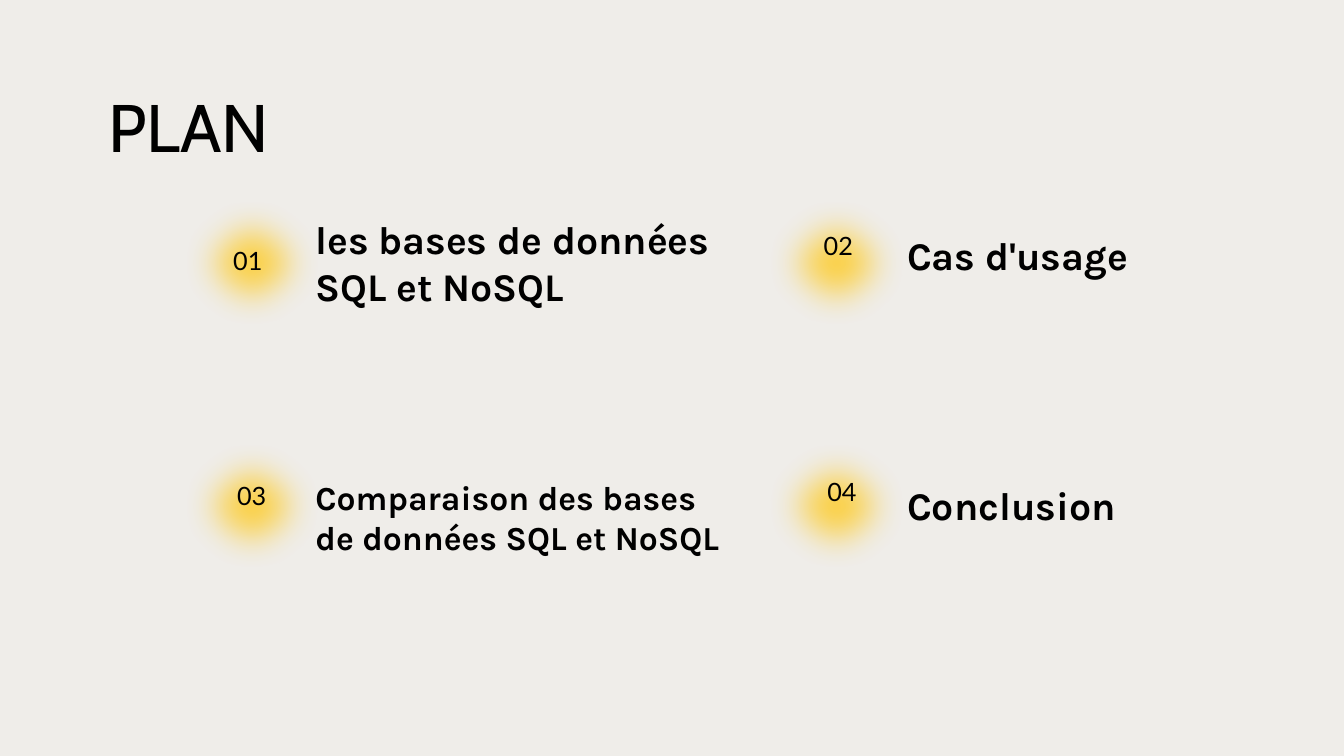
from lxml.etree import SubElement
from pptx import Presentation
from pptx.dml.color import RGBColor
from pptx.enum.shapes import MSO_SHAPE as Shape
from pptx.enum.text import MSO_ANCHOR as Anchor, MSO_AUTO_SIZE as AutoSize, PP_ALIGN as Align
from pptx.oxml.ns import qn
from pptx.util import Pt

BACKGROUND = RGBColor(0xEF, 0xED, 0xE9)
YELLOW = RGBColor(0xFF, 0xCA, 0x21)
NAVY = RGBColor(0x09, 0x2A, 0x39)
BLACK = RGBColor(0, 0, 0)

GLOW_LEFTS = (121, 538.5)
GLOW_TOPS = (134, 307.5)
LABEL_LEFTS = (218.2, 640.8)
SECTIONS = [
    ("01", (152, 172), "les bases de données SQL et NoSQL", 150.5, 28),
    ("02", (573.8, 160.6), "Cas d'usage", 162, 28),
    ("03", (154.8, 339.8), "Comparaison des bases de données SQL et NoSQL", 337, 24),
    ("04", (576.4, 337), "Conclusion", 340.6, 28),
]


def write(box, text, font, size, bold=False, align=Align.LEFT):
    frame = box.text_frame
    frame.text = text
    frame.word_wrap = True
    frame.auto_size = AutoSize.NONE
    frame.vertical_anchor = Anchor.TOP
    para = frame.paragraphs[0]
    para.alignment = align
    para.line_spacing = 1.0
    span = para.runs[0]
    span.font.name = font
    span.font.size = Pt(size)
    span.font.bold = bold
    span.font.color.rgb = BLACK


def add_title(page, text):
    title = page.shapes.title
    title.left, title.top, title.width, title.height = Pt(70), Pt(57.6), Pt(276), Pt(65.5)
    write(title, text, "Cabin", 48)


def add_glow(page, left, top):
    glow = page.shapes.add_shape(Shape.OVAL, Pt(left), Pt(top), Pt(118), Pt(107))
    glow.shadow.inherit = False
    glow.fill.solid()
    glow.fill.fore_color.rgb = YELLOW
    color = glow.fill._xPr.find(qn("a:solidFill"))[0]
    SubElement(color, qn("a:alpha"), val="82000")
    glow.line.color.rgb = NAVY
    glow.line.width = Pt(1.5)
    effects = glow.element.spPr.find(qn("a:effectLst"))
    SubElement(effects, qn("a:softEdge"), rad=str(Pt(25)))


def add_text(page, left, top, width, height, text, font, size, **style):
    box = page.shapes.add_textbox(Pt(left), Pt(top), Pt(width), Pt(height))
    write(box, text, font, size, **style)


def main():
    deck = Presentation()
    deck.slide_width, deck.slide_height = Pt(960), Pt(540)
    page = deck.slides.add_slide(deck.slide_layouts[5])
    page.background.fill.solid()
    page.background.fill.fore_color.rgb = BACKGROUND
    add_title(page, "PLAN")
    for index, (number, (left, top), label, label_top, size) in enumerate(SECTIONS):
        row, column = divmod(index, 2)
        add_glow(page, GLOW_LEFTS[column], GLOW_TOPS[row])
        add_text(page, left, top, 50, 32, number, "Lato", 18, align=Align.CENTER)
        add_text(page, LABEL_LEFTS[column], label_top, 312, 75, label, "Karla", size, bold=True)
    deck.save("out.pptx")


if __name__ == "__main__":
    main()
